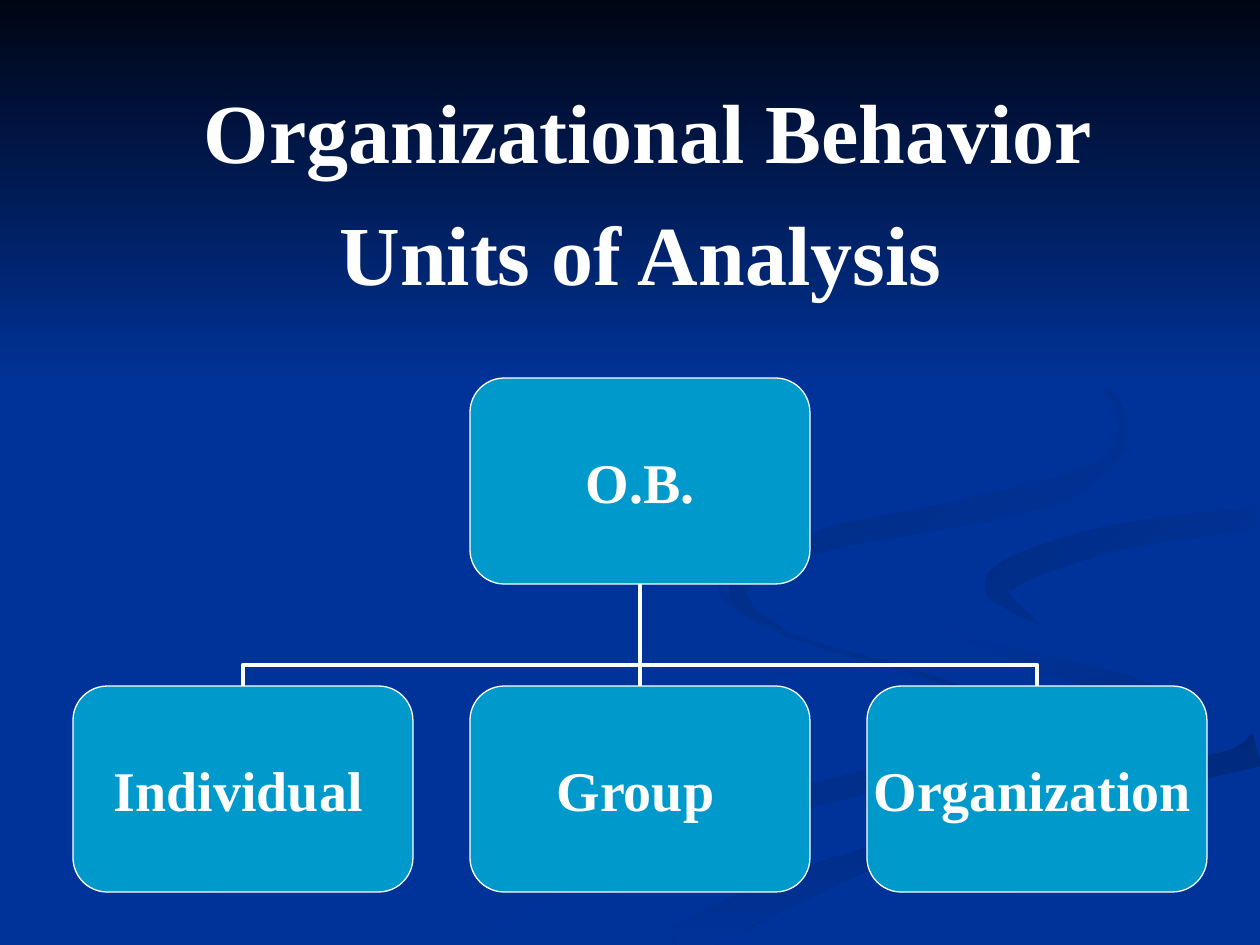
"""Build the Organizational Behavior units of analysis slide."""
import math

import pptx
import pptx.dml.color
import pptx.enum.shapes
import pptx.enum.text
import pptx.oxml.ns
import pptx.util

RGB = pptx.dml.color.RGBColor
SHAPE = pptx.enum.shapes.MSO_SHAPE
WHITE = RGB(0xFF, 0xFF, 0xFF)
BLUE = RGB(0x00, 0x33, 0x99)
CYAN = RGB(0x00, 0x99, 0xCC)
NIGHT = RGB(0x00, 0x05, 0x14)
SHADE = RGB(0x00, 0x2E, 0x8A)
DEEP = RGB(0x00, 0x29, 0x7C)
DUSK = RGB(0x00, 0x2C, 0x85)
INK = RGB(0x00, 0x2B, 0x81)

FONT = "Times New Roman"
SCALE = 914400 / 126
WIDE, TALL = 1260, 945
BAND_H = 388
BOX_W, BOX_H = 340, 206
LEFT, STEP = 73, 397
TOP, LOW = 378, 686
DROP = LOW - TOP - BOX_H
UNITS = ["Individual", "Group", "Organization"]

TAIL = [(725, 578, 0), (727, 600, 6), (797, 638, 4), (905, 669, 5),
        (985, 699, 4), (1000, 730, 16), (950, 760, 22), (780, 804, 24),
        (600, 860, 32), (416, 944, 50)]
EDGE = [(912, 585, 0), (930, 614, 8), (1025, 657, 18), (1115, 683, 22),
        (1168, 710, 28), (1173, 732, 22), (1126, 762, 0)]
SWEEP = [(1257, 750, 34), (1138, 781, 26), (1015, 811, 20), (890, 850, 22),
         (790, 890, 30), (676, 944, 40)]
RIBBON = [(1259, 498, 19), (1100, 524, 20), (960, 555, 30), (950, 587, 70),
          (993, 622, 40), (1094, 653, 25), (1180, 677, 26), (1224, 712, 70),
          (1175, 750, 25), (970, 808, 18), (790, 867, 10), (618, 943, 16)]
HOOK = [(1257, 518, 22), (1130, 535, 25), (1040, 560, 28), (1000, 582, 28),
        (1005, 600, 15), (1041, 625, 0)]
CURL = [(960, 294, 0), (1075, 361, 3), (1115, 400, 8), (1122, 437, 10),
        (1100, 470, 18), (1043, 494, 26), (931, 519, 25), (840, 536, 22),
        (770, 562, 22), (738, 588, 18), (752, 612, 9), (784, 630, 0)]
SWIRLS = [(TAIL, SHADE, BLUE, 180), (EDGE, SHADE, BLUE, 135),
          (SWEEP, DEEP, BLUE, 270), (RIBBON, BLUE, BLUE, 0),
          (HOOK, BLUE, DUSK, 135), (CURL, BLUE, INK, 135)]


def px(num):
    """Turn pixels into EMU."""
    return pptx.util.Emu(round(num * SCALE))


def blend(a, b, c, d, t):
    """Return the Catmull-Rom value between b and c at t."""
    return b + t / 2 * (c - a + t * (2 * a - 5 * b + 4 * c - d
                                     + t * (3 * (b - c) + d - a)))


def smooth(knots, steps=6):
    """Pass a smooth curve through x, y and width knots."""
    ends = [knots[0], *knots, knots[-1]]
    curve = []
    for four in zip(ends, ends[1:], ends[2:], ends[3:]):
        for step in range(steps):
            curve.append([blend(*axis, step / steps) for axis in zip(*four)])
    return curve + [knots[-1]]


def outline(knots):
    """Return the rim of a brush stroke whose width follows its knots."""
    curve = smooth(knots)
    near, far = [], []
    for prev, (x, y, width), after in zip(
            curve[:1] + curve, curve, curve[1:] + curve[-1:]):
        angle = math.atan2(after[1] - prev[1], after[0] - prev[0])
        dx = -math.sin(angle) * width / 2
        dy = math.cos(angle) * width / 2
        near.append((x + dx, y + dy))
        far.append((x - dx, y - dy))
    return near + far[::-1]


def paint(shape, start, end, angle=0):
    """Fill a shape with one colour or a fade, without line or shadow."""
    shape.shadow.inherit = False
    shape.line.fill.background()
    if start == end:
        shape.fill.solid()
        shape.fill.fore_color.rgb = start
        return
    shape.fill.gradient()
    shape.fill.gradient_angle = angle
    for place, tint in enumerate((start, end)):
        stop = shape.fill.gradient_stops[place]
        stop.color.rgb = tint
        stop.position = place


def add_swirl(slide, knots, start, end, angle):
    """Draw one background brush stroke."""
    rim = outline(knots)
    pen = slide.shapes.build_freeform(*rim[0], scale=SCALE)
    pen.add_line_segments(rim[1:], close=True)
    paint(pen.convert_to_shape(), start, end, angle)


def add_band(slide):
    """Draw the dark fade across the top."""
    band = slide.shapes.add_shape(
        SHAPE.RECTANGLE, 0, 0, px(WIDE), px(BAND_H))
    paint(band, NIGHT, BLUE, 270)


def add_text(para, text, size=32, bold=True):
    """Add a centred white run to a paragraph."""
    para.alignment = pptx.enum.text.PP_ALIGN.CENTER
    run = para.add_run()
    run.text = text
    run.font.name = FONT
    run.font.size = pptx.util.Pt(size)
    run.font.bold = bold
    run.font.color.rgb = WHITE


def add_title(slide):
    """Write the two title lines."""
    box = slide.shapes.add_textbox(px(63), px(73), px(1155), px(294))
    frame = box.text_frame
    frame.word_wrap = True
    frame.margin_top = px(7)
    first = frame.paragraphs[0]
    add_text(first, " ", size=36)
    add_text(first, "Organizational Behavior", size=48)
    second = frame.add_paragraph()
    second.space_before = pptx.util.Pt(12)
    add_text(second, "Units of Analysis", size=48)


def add_link(slide, col):
    """Join the top box to a child by an elbow turned a quarter."""
    span = (col - 1) * STEP
    mid_x = LEFT + STEP + (BOX_W + span) / 2
    mid_y = TOP + BOX_H + DROP / 2
    link = slide.shapes.add_connector(
        pptx.enum.shapes.MSO_CONNECTOR.ELBOW,
        px(mid_x - DROP / 2), px(mid_y + span / 2),
        px(mid_x + DROP / 2), px(mid_y - span / 2))
    link.line.color.rgb = WHITE
    link.line.width = pptx.util.Pt(2.25)
    qn = pptx.oxml.ns.qn
    props = link.element.spPr
    props.find(qn("a:xfrm")).set("rot", "5400000")
    bend = props.find(qn("a:prstGeom")).find(qn("a:avLst"))
    bend.append(bend.makeelement(
        qn("a:gd"), {"name": "adj1", "fmla": "val 79200"}))
    props.append(props.makeelement(qn("a:effectLst"), {}))


def add_box(slide, text, col, top, gap=True):
    """Draw a rounded box with its label."""
    box = slide.shapes.add_shape(
        SHAPE.ROUNDED_RECTANGLE,
        px(LEFT + col * STEP), px(top), px(BOX_W), px(BOX_H))
    paint(box, CYAN, CYAN)
    box.line.color.rgb = WHITE
    box.line.width = pptx.util.Pt(0.75)
    frame = box.text_frame
    frame.word_wrap = False
    frame.vertical_anchor = pptx.enum.text.MSO_ANCHOR.MIDDLE
    frame.margin_left = frame.margin_right = 0
    frame.margin_top = frame.margin_bottom = 0
    para = frame.paragraphs[0]
    add_text(para, text)
    if gap:
        add_text(para, " ", size=21, bold=False)


def main():
    """Build and save the slide."""
    deck = pptx.Presentation()
    deck.slide_width, deck.slide_height = px(WIDE), px(TALL)
    slide = deck.slides.add_slide(deck.slide_layouts[6])
    slide.background.fill.solid()
    slide.background.fill.fore_color.rgb = BLUE
    for swirl in SWIRLS:
        add_swirl(slide, *swirl)
    add_band(slide)
    add_title(slide)
    for col in range(len(UNITS)):
        add_link(slide, col)
    add_box(slide, "O.B.", 1, TOP, gap=False)
    for col, unit in enumerate(UNITS):
        add_box(slide, unit, col, LOW)
    deck.save("out.pptx")


if __name__ == "__main__":
    main()
